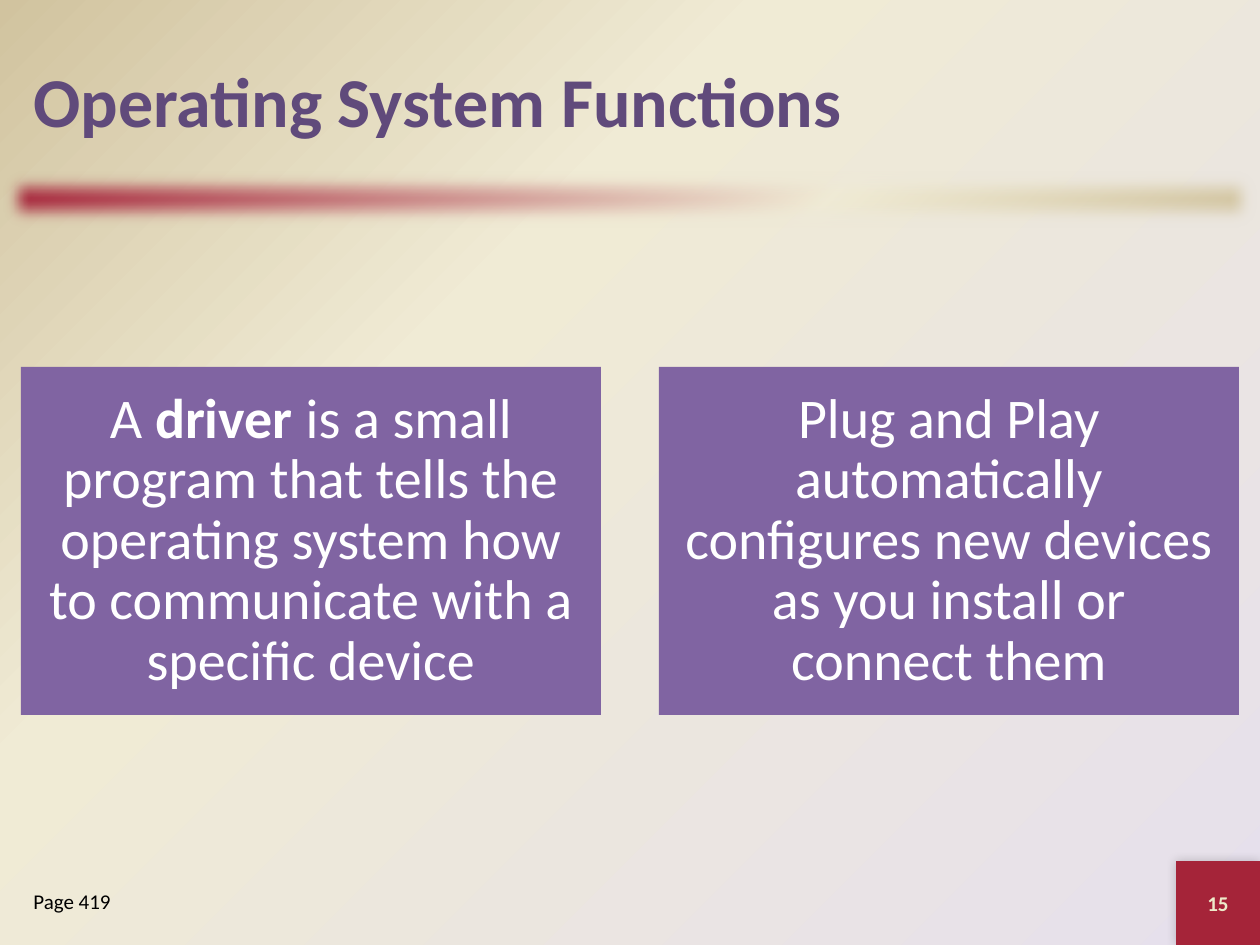
"""Build the slide on operating system functions."""
from lxml import etree
from pptx import Presentation
from pptx.dml.color import RGBColor
from pptx.enum.shapes import MSO_SHAPE
from pptx.enum.text import MSO_ANCHOR, PP_ALIGN
from pptx.oxml import parse_xml
from pptx.oxml.ns import nsdecls, qn
from pptx.util import Pt

RECTANGLE = MSO_SHAPE.RECTANGLE
TOP, MIDDLE = MSO_ANCHOR.TOP, MSO_ANCHOR.MIDDLE
LEFT, CENTER = PP_ALIGN.LEFT, PP_ALIGN.CENTER
FONT = "Calibri"
SCALE = 914400 / 126
WIDTH, HEIGHT = 1260, 945
MARGIN = 21
BADGE = 84
COLORS = {
    "red": "A52439", "cream": "F0EBD5", "sand": "D1C39F", "lilac": "E6E0EC",
    "violet": "8064A2", "title": "604A7B", "number": "EEEBCA",
    "white": "FFFFFF", "black": "000000",
}
CARDS = [
    [("A ", False), ("driver", True),
     (" is a small program that tells the operating system how "
      "to communicate with a specific device", False)],
    [("Plug and Play automatically configures new devices "
      "as you install or connect them", False)],
]


def px(length):
    return round(length * SCALE)


def place(left, top, width, height):
    return [px(length) for length in (left, top, width, height)]


def set_gradient(fill, properties, first, direction):
    """Fill with a gradient from the first colour through cream to sand."""
    fill.gradient()
    stops = "".join(
        f'<a:gs pos="{position * 1000}"><a:srgbClr val="{COLORS[name]}"/></a:gs>'
        for position, name in ((0, first), (65, "cream"), (100, "sand")))
    gradient = parse_xml(
        f'<a:gradFill {nsdecls("a")} rotWithShape="1">'
        f"<a:gsLst>{stops}</a:gsLst>{direction}</a:gradFill>")
    properties.replace(properties.find(qn("a:gradFill")), gradient)


def add_block(page, *bounds, color=None):
    block = page.shapes.add_shape(RECTANGLE, *place(*bounds))
    block.shadow.inherit = False
    block.line.fill.background()
    if color:
        block.fill.solid()
        block.fill.fore_color.rgb = RGBColor.from_string(COLORS[color])
    return block


def add_effect(block, tag, **attributes):
    effects = block._element.spPr.find(qn("a:effectLst"))
    values = {name: str(value) for name, value in attributes.items()}
    return etree.SubElement(effects, qn(tag), values)


def write(shape, spans, size, color, align=LEFT, anchor=MIDDLE, spacing=1.0, inset=None):
    """Write (text, bold) spans as one paragraph in a shape."""
    frame = shape.text_frame
    frame.word_wrap = True
    frame.vertical_anchor = anchor
    if inset is not None:
        frame.margin_left = frame.margin_right = px(inset)
        frame.margin_top = frame.margin_bottom = px(inset)
    para = frame.paragraphs[0]
    para.alignment = align
    para.line_spacing = spacing
    for text, bold in spans:
        span = para.add_run()
        span.text = text
        span.font.name = FONT
        span.font.size = Pt(size)
        span.font.bold = bold
        span.font.color.rgb = RGBColor.from_string(COLORS[color])


def add_text(page, text, *bounds, bold=False, **style):
    box = page.shapes.add_textbox(*place(*bounds))
    write(box, [(text, bold)], **style)


def add_background(page):
    fill = page.background.fill
    fill.solid()
    properties = page.element.find(".//" + qn("p:bgPr"))
    set_gradient(fill, properties, "lilac",
                 '<a:path path="circle"><a:fillToRect l="100000" t="100000"/></a:path>')


def add_divider(page):
    bar = add_block(page, 0, 168, WIDTH, 63)
    set_gradient(bar.fill, bar._element.spPr, "red", '<a:lin ang="2700000" scaled="0"/>')
    add_effect(bar, "a:softEdge", rad=127000)


def add_badge(page, number):
    bounds = (WIDTH - BADGE, HEIGHT - BADGE, BADGE, BADGE)
    badge = add_block(page, *bounds, color="red")
    shadow = add_effect(badge, "a:outerShdw", blurRad=Pt(6), dist=0, dir=225 * 60000)
    tint = etree.SubElement(shadow, qn("a:srgbClr"), {"val": COLORS["black"]})
    etree.SubElement(tint, qn("a:alpha"), {"val": "20000"})
    add_text(page, number, *bounds, bold=True, size=12, color="number", align=CENTER)


def add_cards(page):
    width, height, gap = 580, 348, 58
    for index, spans in enumerate(CARDS):
        left = MARGIN + index * (width + gap)
        card = add_block(page, left, 367, width, height, color="violet")
        write(card, spans, 32, "white", align=CENTER, spacing=0.9, inset=16)


def main():
    deck = Presentation()
    deck.slide_width, deck.slide_height = px(WIDTH), px(HEIGHT)
    page = deck.slides.add_slide(deck.slide_layouts[6])
    add_background(page)
    add_divider(page)
    add_text(page, "Operating System Functions", MARGIN, 21, WIDTH - 2 * MARGIN, 158,
             bold=True, size=40, color="title")
    add_cards(page)
    add_badge(page, "15")
    add_text(page, "Page 419", MARGIN, 882, 231, 63, size=12, color="black", anchor=TOP)
    deck.save("out.pptx")


if __name__ == "__main__":
    main()
